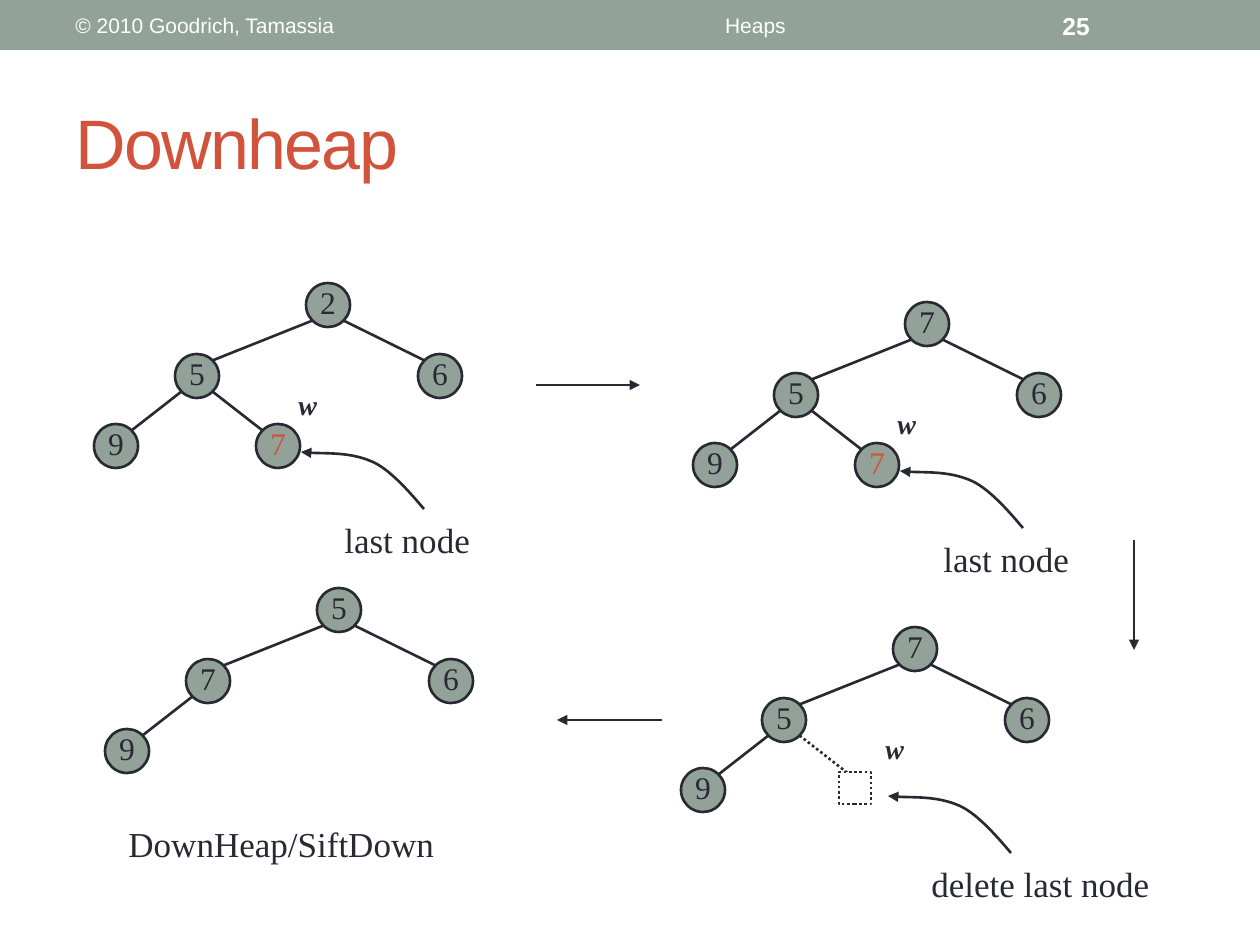
from lxml import etree
from pptx import Presentation
from pptx.dml.color import RGBColor
from pptx.enum.dml import MSO_LINE_DASH_STYLE as Dash
from pptx.enum.shapes import MSO_CONNECTOR as Connector, MSO_SHAPE as Shape
from pptx.enum.text import MSO_ANCHOR as Anchor, MSO_AUTO_SIZE as AutoSize, PP_ALIGN as Align
from pptx.oxml.ns import qn
from pptx.util import Emu, Pt

PX = 914400 / 126
SANS, SERIF = "Arial", "Times New Roman"
SAGE, INK, RUST, WHITE = "93A299", "292934", "D2533C", "FFFFFF"

# Tree geometry, measured from the top left of the root node
NODE = 44
CORNER = NODE * (1 - 0.5 ** 0.5) / 2
NEAR, FAR = CORNER, NODE - CORNER
ROOT, LEFT, RIGHT = (0, 0), (-131, 71), (112, 71)
OUTER_LEAF, LAST_LEAF = (-212, 141), (-50, 141)
POINTER = [(118, 226), (111, 218), (87, 188), (67, 179), (45, 169), (10, 171), (-5, 169)]


def px(length):
    return Emu(round(length * PX))


def box(*lengths):
    return [px(length) for length in lengths]


def rgb(color):
    return RGBColor.from_string(color)


def style_line(line, width, dotted=False):
    line.color.rgb = rgb(INK)
    line.width = Pt(width)
    if dotted:
        line.dash_style = Dash.ROUND_DOT


def add_arrowhead(line):
    ln = line._get_or_add_ln()
    etree.SubElement(ln, qn("a:tailEnd"), type="triangle")


def write(frame, text, size, color, font=SERIF, align=Align.LEFT, bold=False, italic=False):
    paragraph = frame.paragraphs[0]
    paragraph.text = text
    paragraph.alignment = align
    paragraph.font.name = font
    paragraph.font.size = Pt(size)
    paragraph.font.color.rgb = rgb(color)
    paragraph.font.bold = bold
    paragraph.font.italic = italic


def add_header_text(shapes, left, width, text, size=12, **style):
    frame = shapes.add_textbox(*box(left, 3, width, 45)).text_frame
    frame.word_wrap = True
    frame.vertical_anchor = Anchor.MIDDLE
    write(frame, text, size, WHITE, SANS, **style)


def add_label(shapes, at, width, height, text, size=20, **style):
    frame = shapes.add_textbox(*box(*at, width, height)).text_frame
    frame.word_wrap = False
    frame.auto_size = AutoSize.SHAPE_TO_FIT_TEXT
    write(frame, text, size, INK, **style)


def add_filled(shapes, kind, bounds, fill):
    shape = shapes.add_shape(kind, *box(*bounds))
    shape.shadow.inherit = False
    shape.fill.solid()
    shape.fill.fore_color.rgb = rgb(fill)
    return shape


def add_node(shapes, at, key, color=INK):
    node = add_filled(shapes, Shape.OVAL, (*at, NODE, NODE), SAGE)
    style_line(node.line, 1.5)
    frame = node.text_frame
    frame.margin_left = frame.margin_top = frame.margin_right = 0
    frame.margin_bottom = px(6)
    frame.word_wrap = False
    frame.vertical_anchor = Anchor.MIDDLE
    write(frame, key, 18, color, align=Align.CENTER)


def add_line(shapes, start, end, width=1.5, dotted=False):
    line = shapes.add_connector(Connector.STRAIGHT, *box(*start, *end))
    style_line(line.line, width, dotted)
    etree.SubElement(line._element.spPr, qn("a:effectLst"))
    return line


def add_edge(shapes, parent, child, dotted=False):
    """Join the facing 45-degree points of two nodes."""
    child_is_left = child[0] < parent[0]
    parent_dx, child_dx = (NEAR, FAR) if child_is_left else (FAR, NEAR)
    add_line(shapes, (parent[0] + parent_dx, parent[1] + FAR),
             (child[0] + child_dx, child[1] + NEAR), dotted=dotted)


def add_pointer(shapes, points):
    """Draw a curved arrow through two cubic segments."""
    start, *rest = [box(*point) for point in points]
    builder = shapes.build_freeform(*start)
    builder.add_line_segments(rest, close=False)
    curve = builder.convert_to_shape()
    segments = curve._element.findall(".//" + qn("a:lnTo"))
    for first in range(0, len(segments), 3):
        cubic = etree.Element(qn("a:cubicBezTo"))
        segments[first].addprevious(cubic)
        for segment in segments[first:first + 3]:
            cubic.append(segment[0])
            segment.getparent().remove(segment)
    curve.shadow.inherit = False
    curve.fill.background()
    style_line(curve.line, 1.5)
    add_arrowhead(curve.line)


def add_tree(slide, origin, keys, last=None, caption=None):
    """Draw a heap; last is the last leaf's key, or "" for a deleted leaf."""
    shapes = slide.shapes.add_group_shape().shapes

    def place(offset):
        return origin[0] + offset[0], origin[1] + offset[1]

    spots = [place(spot) for spot in (ROOT, LEFT, RIGHT, OUTER_LEAF)]
    root, left, right, outer_leaf = spots
    for spot, key in zip(spots, keys):
        add_node(shapes, spot, key)
    for parent, child in ((root, left), (root, right), (left, outer_leaf)):
        add_edge(shapes, parent, child)
    if last is None:
        return
    leaf = place(LAST_LEAF)
    add_edge(shapes, left, leaf, dotted=not last)
    if last:
        add_node(shapes, leaf, last, RUST)
    else:
        gap = add_filled(shapes, Shape.RECTANGLE, (*place((-54, 145)), 32, 32), WHITE)
        style_line(gap.line, 1.5, dotted=True)
    add_pointer(shapes, [place(point) for point in POINTER])
    add_label(shapes, place((-20, 98)), 53, 63, "w", 16, bold=True, italic=True)
    caption_text, caption_width = caption
    add_label(shapes, place((26, 229)), caption_width, 55, caption_text)


def main():
    prs = Presentation()
    prs.slide_width, prs.slide_height = px(1260), px(945)
    slide = prs.slides.add_slide(prs.slide_layouts[5])
    shapes = slide.shapes

    # Header band
    band = add_filled(shapes, Shape.RECTANGLE, (0, 0, 1260, 50), SAGE)
    band.line.fill.background()
    add_header_text(shapes, 63, 400, "© 2010 Goodrich, Tamassia")
    add_header_text(shapes, 472, 567, "Heaps", align=Align.CENTER)
    add_header_text(shapes, 1050, 147, "25", 14, bold=True)

    # Title
    title = shapes.title
    title.left, title.top, title.width, title.height = box(63, 73, 1134, 136)
    title.text_frame.vertical_anchor = Anchor.MIDDLE
    write(title.text_frame, "Downheap", 40, RUST, SANS)
    title.text_frame.paragraphs[0].runs[0]._r.get_or_add_rPr().set("spc", "-100")

    # Heap after each step
    last_node = ("last node", 151)
    add_tree(slide, (306, 283), "2569", "7", last_node)
    add_tree(slide, (905, 302), "7569", "7", last_node)
    add_tree(slide, (893, 627), "7569", "", ("delete last node", 253))
    add_tree(slide, (317, 588), "5769")
    add_label(shapes, (116, 816), 334, 55, "DownHeap/SiftDown")

    # Arrows between steps
    for start, end in (((536, 385), (640, 385)),
                       ((1134, 540), (1134, 650)),
                       ((662, 720), (557, 720))):
        step = add_line(shapes, start, end, 0.75)
        add_arrowhead(step.line)

    prs.save("out.pptx")


if __name__ == "__main__":
    main()
